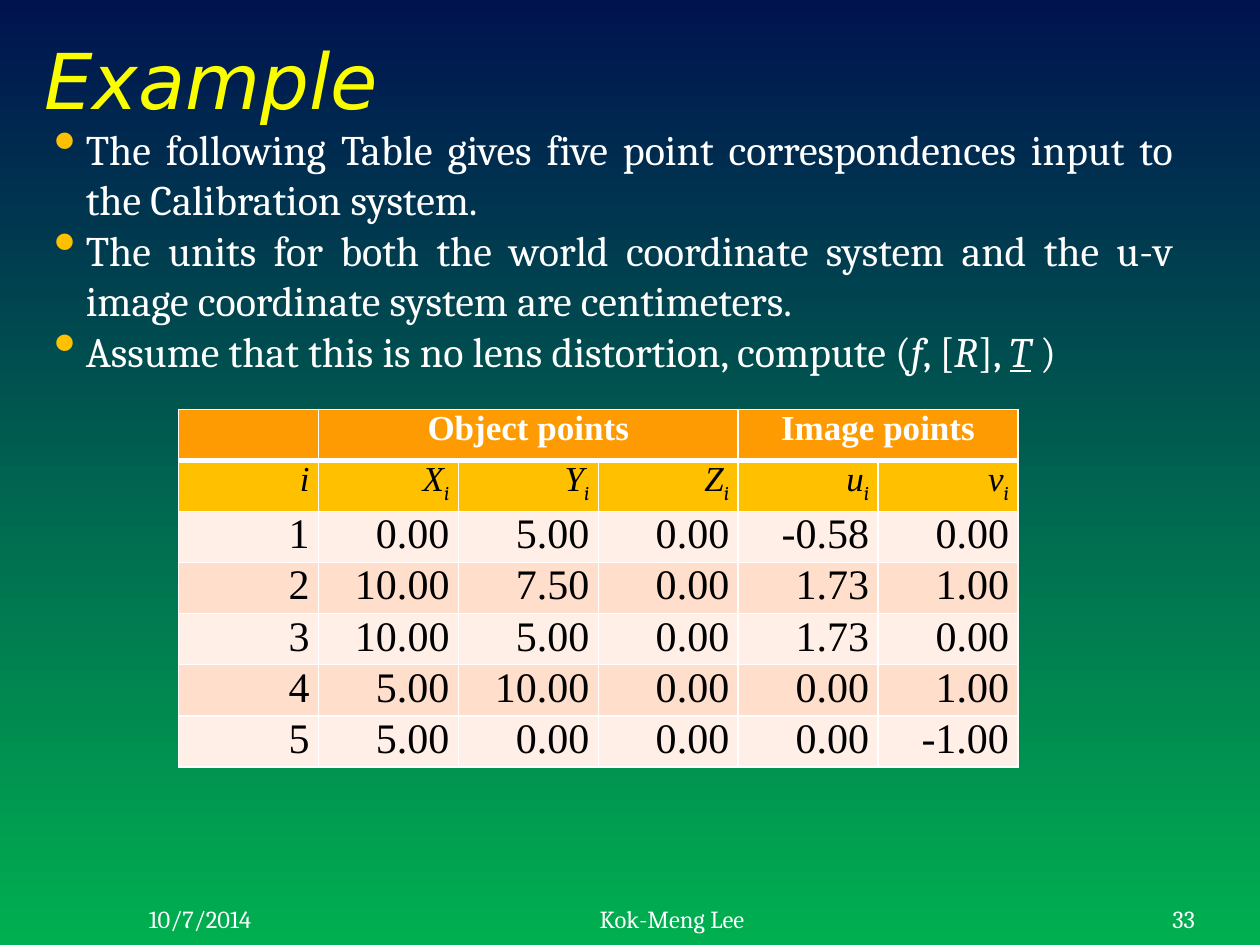
import pptx
import pptx.dml.color
import pptx.enum.text
import pptx.oxml
import pptx.oxml.ns
import pptx.util
from pptx.util import Cm

ALIGN = pptx.enum.text.PP_ALIGN
MIDDLE = pptx.enum.text.MSO_ANCHOR.MIDDLE
WHITE = "FFFFFF"
BODY_FONT = "Cambria"
TABLE_FONT = "Times New Roman"
ITALIC = {"italic": True}

BULLETS = [
    [("The following Table gives five point correspondences input to "
      "the Calibration system.", {})],
    [("The units for both the world coordinate system and the u-v image "
      "coordinate system are centimeters.", {})],
    [("Assume that this is no lens distortion, compute (", {}),
     ("f", ITALIC), (", [", {}), ("R", ITALIC), ("], ", {}),
     ("T", {"italic": True, "underline": True}), (" ", ITALIC), (")", {})],
]
POINTS = [
    ("1", "0.00", "5.00", "0.00", "-0.58", "0.00"),
    ("2", "10.00", "7.50", "0.00", "1.73", "1.00"),
    ("3", "10.00", "5.00", "0.00", "1.73", "0.00"),
    ("4", "5.00", "10.00", "0.00", "0.00", "1.00"),
    ("5", "5.00", "0.00", "0.00", "0.00", "-1.00"),
]


def rgb(value):
    return pptx.dml.color.RGBColor.from_string(value)


def add_text(para, text, size=24, font=BODY_FONT, color=WHITE, bold=False,
             italic=False, underline=False, subscript=False):
    span = para.add_run()
    span.text = text
    span.font.size = pptx.util.Pt(size)
    span.font.name = font
    span.font.color.rgb = rgb(color)
    span.font.bold = bold
    span.font.italic = italic
    span.font.underline = underline
    if subscript:
        span.font._element.set("baseline", "-25000")


def add_xml(parent, xml):
    """Append DrawingML elements to the parent element."""
    wrapper = pptx.oxml.parse_xml(
        f'<a:wrapper {pptx.oxml.ns.nsdecls("a")}>{xml}</a:wrapper>')
    for child in list(wrapper):
        parent.append(child)


def add_box(page, left, top, width, height):
    box = page.shapes.add_textbox(Cm(left), Cm(top), Cm(width), Cm(height))
    box.text_frame.word_wrap = True
    box.text_frame.vertical_anchor = MIDDLE
    return box.text_frame


def paint_background(page):
    fill = page.background.fill
    fill.gradient()
    fill.gradient_angle = 270
    for stop, color in zip(fill.gradient_stops, ("00134F", "00B050")):
        stop.color.rgb = rgb(color)


def add_title(page, text):
    title = page.shapes.title
    title.left, title.top = Cm(0.64), Cm(0)
    title.width, title.height = Cm(24.76), Cm(3.18)
    frame = title.text_frame
    frame.auto_size = pptx.enum.text.MSO_AUTO_SIZE.NONE
    frame.vertical_anchor = MIDDLE
    para = frame.paragraphs[0]
    para.alignment = ALIGN.LEFT
    add_text(para, text, size=44, font="DejaVu Sans", color="FAFD00", italic=True)


def add_bullets(page):
    frame = add_box(page, 0.84, 2.34, 23.06, 5.38)
    for index, parts in enumerate(BULLETS):
        para = frame.add_paragraph() if index else frame.paragraphs[0]
        para.alignment = ALIGN.JUSTIFY
        properties = para._p.get_or_add_pPr()
        properties.set("marL", str(Cm(0.64)))
        properties.set("indent", str(-Cm(0.64)))
        add_xml(properties, '<a:buClr><a:srgbClr val="FFC000"/></a:buClr>'
                            '<a:buSzPct val="150000"/><a:buChar char="•"/>')
        for text, style in parts:
            add_text(para, text, **style)


def format_cell(cell, fill, top=1, bottom=1):
    cell.margin_left = cell.margin_right = Cm(0.18)
    cell.margin_top = cell.margin_bottom = 0
    properties = cell._tc.get_or_add_tcPr()
    for side, points in (("L", 1), ("R", 1), ("T", top), ("B", bottom)):
        add_xml(properties,
                f'<a:ln{side} w="{pptx.util.Pt(points)}"><a:solidFill>'
                f'<a:srgbClr val="{WHITE}"/></a:solidFill></a:ln{side}>')
    cell.fill.solid()
    cell.fill.fore_color.rgb = rgb(fill)


def cell_para(cell, alignment=ALIGN.RIGHT):
    para = cell.text_frame.paragraphs[0]
    para.alignment = alignment
    return para


def add_points_table(page):
    row_count, column_count = len(POINTS) + 2, len(POINTS[0])
    table = page.shapes.add_table(row_count, column_count, Cm(3.6), Cm(8.25),
                                  Cm(16.93), Cm(7.21)).table
    for column in table.columns:
        column.width = Cm(2.82)
    for row in table.rows:
        row.height = Cm(1.03)

    # Group headings
    for column in range(column_count):
        format_cell(table.cell(0, column), "FE9B03", bottom=3)
    for text, first, last in (("Object points", 1, 3), ("Image points", 4, 5)):
        heading = table.cell(0, first)
        heading.merge(table.cell(0, last))
        add_text(cell_para(heading, ALIGN.CENTER), text, size=20,
                 font=TABLE_FONT, bold=True)

    # Variable names, subscripted after the index column
    for column, name in enumerate("iXYZuv"):
        cell = table.cell(1, column)
        format_cell(cell, "FFC000", top=3)
        para = cell_para(cell)
        add_text(para, name, size=20, font=TABLE_FONT, color="000000", italic=True)
        if column:
            add_text(para, "i", size=20, color="000000", italic=True, subscript=True)

    # Point values in alternating bands
    for row, values in enumerate(POINTS):
        for column, value in enumerate(values):
            cell = table.cell(row + 2, column)
            format_cell(cell, "FFDECB" if row % 2 else "FFEFE7")
            add_text(cell_para(cell), value, font=TABLE_FONT, color="000000")


def add_footer(page, text, left, width, alignment):
    para = add_box(page, left, 17.99, width, 1.06).paragraphs[0]
    para.alignment = alignment
    add_text(para, text, size=14)


def main():
    deck = pptx.Presentation()
    deck.slide_width, deck.slide_height = Cm(25.4), Cm(19.05)
    page = deck.slides.add_slide(deck.slide_layouts[5])
    paint_background(page)
    add_title(page, "Example")
    add_footer(page, "10/7/2014", 2.75, 5.29, ALIGN.LEFT)
    add_footer(page, "Kok-Meng Lee", 9.53, 8.04, ALIGN.CENTER)
    add_footer(page, "33", 19.05, 5.29, ALIGN.RIGHT)
    add_bullets(page)
    add_points_table(page)
    deck.save("out.pptx")


if __name__ == "__main__":
    main()
